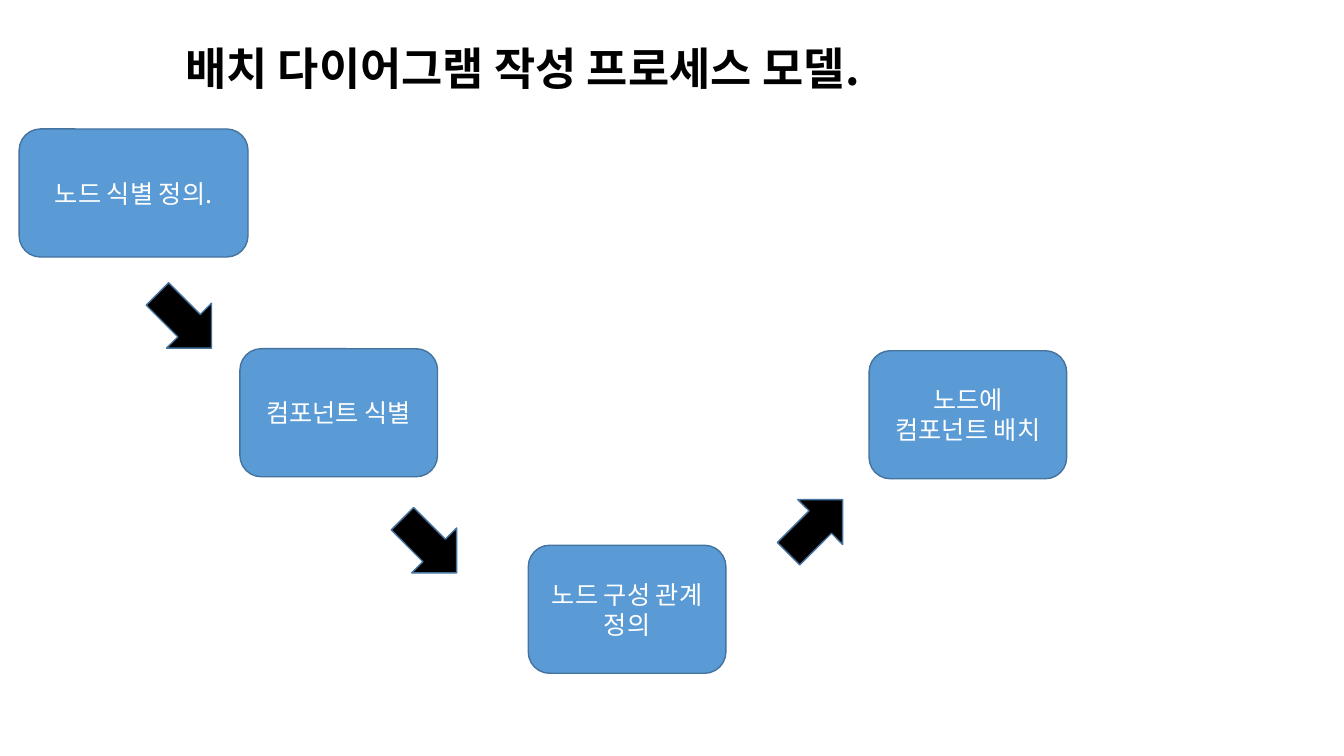
from pptx import Presentation
from pptx.dml.color import RGBColor
from pptx.enum.shapes import MSO_SHAPE
from pptx.enum.text import MSO_ANCHOR, PP_ALIGN
from pptx.oxml.ns import qn
from pptx.util import Inches, Pt
from lxml import etree

ROUNDED = MSO_SHAPE.ROUNDED_RECTANGLE
RIGHT_ARROW = MSO_SHAPE.RIGHT_ARROW
MIDDLE = MSO_ANCHOR.MIDDLE
CENTER = PP_ALIGN.CENTER
LEFT = PP_ALIGN.LEFT


def color(hex_value):
    return RGBColor.from_string(hex_value)


class ProcessSlide:
    FONT = "Noto Sans CJK KR"
    BLUE = "5B9BD5"
    OUTLINE = "43739E"
    BLACK = "000000"
    WHITE = "FFFFFF"
    STEP_HEIGHT = 1.27
    ARROW_SIZE = (0.76, 0.63)

    def __init__(self, slide):
        self.shapes = slide.shapes

    def set_text(self, frame, text, size, text_color, align, bold=False):
        frame.word_wrap = True
        paragraph = frame.paragraphs[0]
        paragraph.text = text
        paragraph.alignment = align
        font = paragraph.font
        font.size = Pt(size)
        font.bold = bold
        font.color.rgb = color(text_color)
        font.name = self.FONT
        # Korean glyphs take the East Asian typeface
        defaults = paragraph._p.find(".//" + qn("a:defRPr"))
        etree.SubElement(defaults, qn("a:ea"), typeface=self.FONT)

    def outlined(self, kind, left, top, width, height, fill):
        shape = self.shapes.add_shape(
            kind, Inches(left), Inches(top), Inches(width), Inches(height))
        shape.shadow.inherit = False
        shape.fill.solid()
        shape.fill.fore_color.rgb = color(fill)
        shape.line.color.rgb = color(self.OUTLINE)
        shape.line.width = Pt(1)
        return shape

    def title(self, text, left, top, width, height):
        box = self.shapes.add_textbox(
            Inches(left), Inches(top), Inches(width), Inches(height))
        self.set_text(box.text_frame, text, 32, self.BLACK, LEFT, bold=True)

    def step(self, text, left, top, width):
        box = self.outlined(ROUNDED, left, top, width, self.STEP_HEIGHT, self.BLUE)
        box.text_frame.vertical_anchor = MIDDLE
        self.set_text(box.text_frame, text, 18, self.WHITE, CENTER)

    def arrow(self, left, top, rotation):
        arrow = self.outlined(RIGHT_ARROW, left, top, *self.ARROW_SIZE, self.BLACK)
        arrow.rotation = rotation


STEPS = [
    ("노드 식별 정의.", 0.19, 1.28, 2.27),
    ("컴포넌트 식별", 2.38, 3.46, 1.96),
    ("노드 구성 관계 정의", 5.24, 5.41, 1.96),
    ("노드에 컴포넌트 배치", 8.62, 3.48, 1.96),
]
ARROWS = [(1.45, 2.87, 45), (3.88, 5.1, 45), (7.71, 4.91, 315)]


def main():
    deck = Presentation()
    deck.slide_width = Inches(13.33)
    deck.slide_height = Inches(7.5)
    process = ProcessSlide(deck.slides.add_slide(deck.slide_layouts[6]))
    for step in STEPS:
        process.step(*step)
    process.title("배치 다이어그램 작성 프로세스 모델.", 1.74, 0.36, 8.94, 0.64)
    for arrow in ARROWS:
        process.arrow(*arrow)
    deck.save("out.pptx")


if __name__ == "__main__":
    main()
